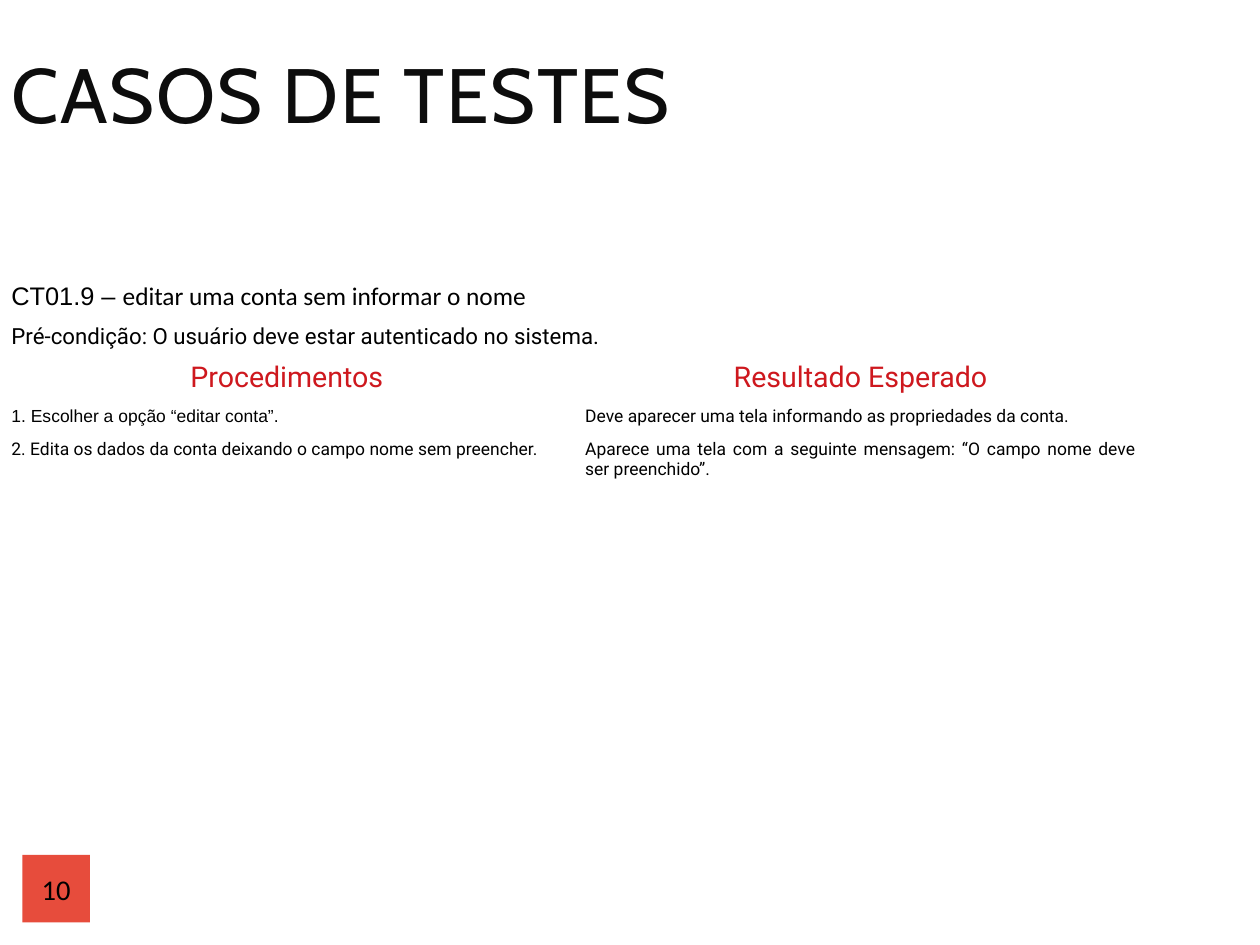
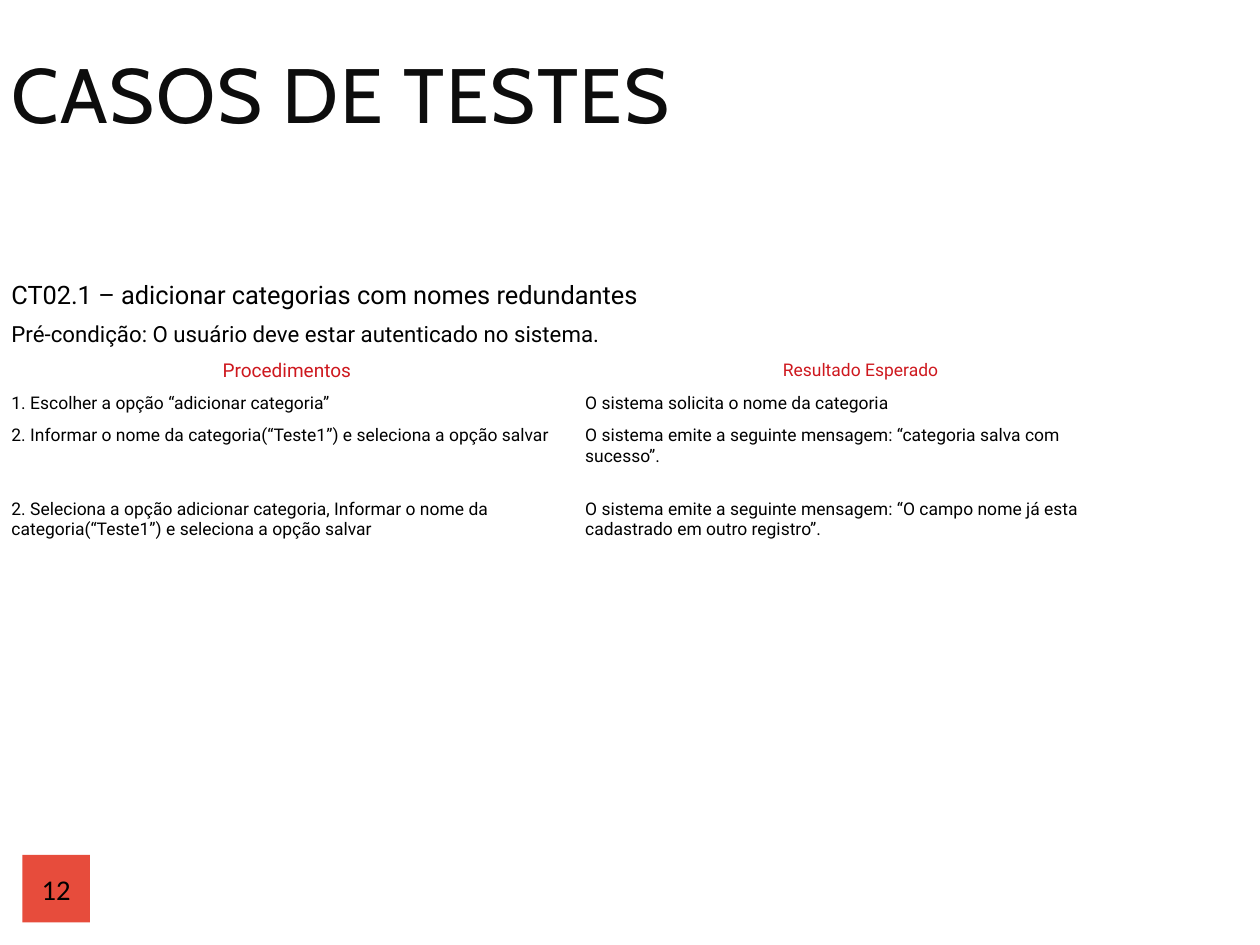
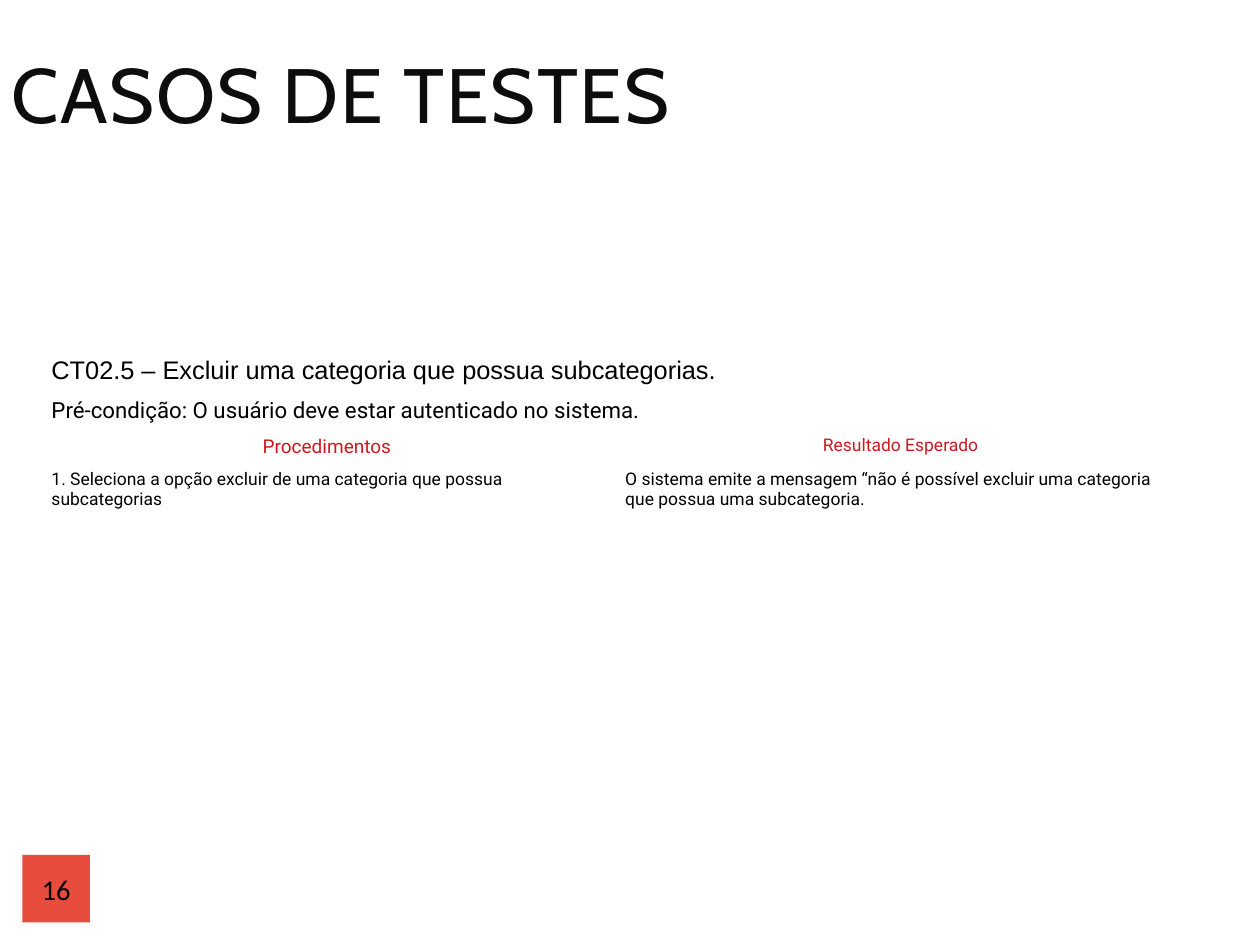
from dataclasses import dataclass

from pptx import Presentation
from pptx import util as u
from pptx.dml.color import RGBColor
from pptx.enum import shapes, text

HUES = {"band": "E74C3C", "title": "0D0D0D", "head": "CE181E", "ink": "000000"}
LEFT, MID, JUST = text.PP_ALIGN.LEFT, text.PP_ALIGN.CENTER, text.PP_ALIGN.JUSTIFY
COL = 12.75  # width of a table column, cm
PRE = "Pré-condição: O usuário deve estar autenticado no sistema."


@dataclass(frozen=True)
class Bit:
    """One run of text."""
    words: str
    size: float = 11
    face: str = "Roboto"
    hue: str = "ink"


@dataclass(frozen=True)
class Case:
    """One test case; each step is a pair of procedure and result."""
    page: int
    left: float
    top: float
    name: list[Bit]
    heads: tuple[float, float]  # sizes of the two headings
    steps: list[tuple[Bit, Bit]]
    highs: list[float]  # row heights, cm
    align: text.PP_ALIGN = LEFT


CASES = [
    Case(10, 0, 6.12,
         [Bit("CT01.9 – ", 16, "Arial"),
          Bit("editar uma conta sem informar o nome", 16, "Calibri")],
         (18, 18),
         [(Bit("1. Escolher a opção “editar conta”.", face="Arial"),
           Bit("Deve aparecer uma tela informando as propriedades da conta.")),
          (Bit("2. Edita os dados da conta deixando o campo nome sem preencher."),
           Bit("Aparece uma tela com a seguinte mensagem: “O campo nome deve ser preenchido”."))],
         [0.91, 0.84, 1, 0.72, 1.17], JUST),
    Case(12, 0, 6.12,
         [Bit("CT02.1 – adicionar categorias com nomes redundantes", 16)],
         (12, 11),
         [(Bit("1. Escolher a opção “adicionar categoria”"),
           Bit("O sistema solicita o nome da categoria")),
          (Bit("2. Informar o nome da categoria(“Teste1”) e seleciona a opção salvar"),
           Bit("O sistema emite a seguinte mensagem: “categoria salva com sucesso”.")),
          (Bit("2. Seleciona a opção adicionar categoria, Informar o nome da "
               "categoria(“Teste1”) e seleciona a opção salvar"),
           Bit("O sistema emite a seguinte mensagem: “O campo nome já esta "
               "cadastrado em outro registro”."))],
         [0.91, 0.82, 0.74, 0.69, 1.63, 1.55]),
    Case(16, 0.89, 7.8,
         [Bit("CT02.5 – Excluir uma categoria que possua subcategorias.", 16, "Arial")],
         (12, 11),
         [(Bit("1. Seleciona a opção excluir de uma categoria que possua subcategorias"),
           Bit("O sistema emite a mensagem “não é possível excluir uma categoria "
               "que possua uma subcategoria."))],
         [0.91, 0.82, 0.74, 1.17]),
]


def paint(fill, hue: str) -> None:
    fill.solid()
    fill.fore_color.rgb = RGBColor.from_string(HUES[hue])


def write(frame, bits: list[Bit], align: text.PP_ALIGN = LEFT):
    """Fill the first paragraph run by run and return it."""
    para = frame.paragraphs[0]
    para.alignment = align
    for bit in bits:
        run = para.add_run()
        run.text = bit.words
        run.font.size = u.Pt(bit.size)
        run.font.name = bit.face
        run.font.bold = False
        run.font.color.rgb = RGBColor.from_string(HUES[bit.hue])
    return para


def add_page(slide, page: int) -> None:
    """Red square with the page number."""
    box = slide.shapes.add_shape(shapes.MSO_SHAPE.RECTANGLE,
                                 u.Cm(0.5), u.Cm(19), u.Cm(1.5), u.Cm(1.5))
    box.shadow.inherit = False
    paint(box.fill, "band")
    box.line.fill.background()
    frame = box.text_frame
    frame.margin_left = frame.margin_right = frame.margin_top = frame.margin_bottom = 0
    frame.vertical_anchor = text.MSO_ANCHOR.MIDDLE
    write(frame, [Bit(str(page), 18, "Calibri")], MID)


def add_title(slide) -> None:
    title = slide.shapes.title
    title.left, title.top = u.Cm(0), u.Cm(1)
    title.width, title.height = u.Cm(26), u.Cm(2.5)
    frame = title.text_frame
    frame.auto_size = text.MSO_AUTO_SIZE.NONE
    frame.vertical_anchor = text.MSO_ANCHOR.MIDDLE
    para = write(frame, [Bit("CASOS DE TESTES", 48.5, "Cabin", "title")])
    para.line_spacing = 0.8
    para.runs[0].font._element.set("spc", "110")


def add_case(slide, case: Case) -> None:
    """Table with name, condition, headings and steps."""
    grid = slide.shapes.add_table(len(case.highs), 2, u.Cm(case.left), u.Cm(case.top),
                                  u.Cm(2 * COL), u.Cm(sum(case.highs))).table
    grid.first_row = grid.horz_banding = False
    for col in grid.columns:
        col.width = u.Cm(COL)
    for row, high in zip(grid.rows, case.highs):
        row.height = u.Cm(high)
        for cell in row.cells:
            cell.fill.background()

    # Rows across both columns
    for num, bits in enumerate([case.name, [Bit(PRE, 14)]]):
        grid.cell(num, 0).merge(grid.cell(num, 1))
        write(grid.cell(num, 0).text_frame, bits)

    # Headings and steps
    for num, (word, size) in enumerate(zip(("Procedimentos", "Resultado Esperado"), case.heads)):
        write(grid.cell(2, num).text_frame, [Bit(word, size, hue="head")], MID)
    for row, step in enumerate(case.steps, 3):
        for num, bit in enumerate(step):
            write(grid.cell(row, num).text_frame, [bit], case.align)


def main() -> None:
    deck = Presentation()
    deck.slide_width, deck.slide_height = u.Cm(28), u.Cm(21)
    for case in CASES:
        slide = deck.slides.add_slide(deck.slide_layouts[5])
        add_page(slide, case.page)
        add_title(slide)
        add_case(slide, case)
    deck.save("out.pptx")


if __name__ == "__main__":
    main()
